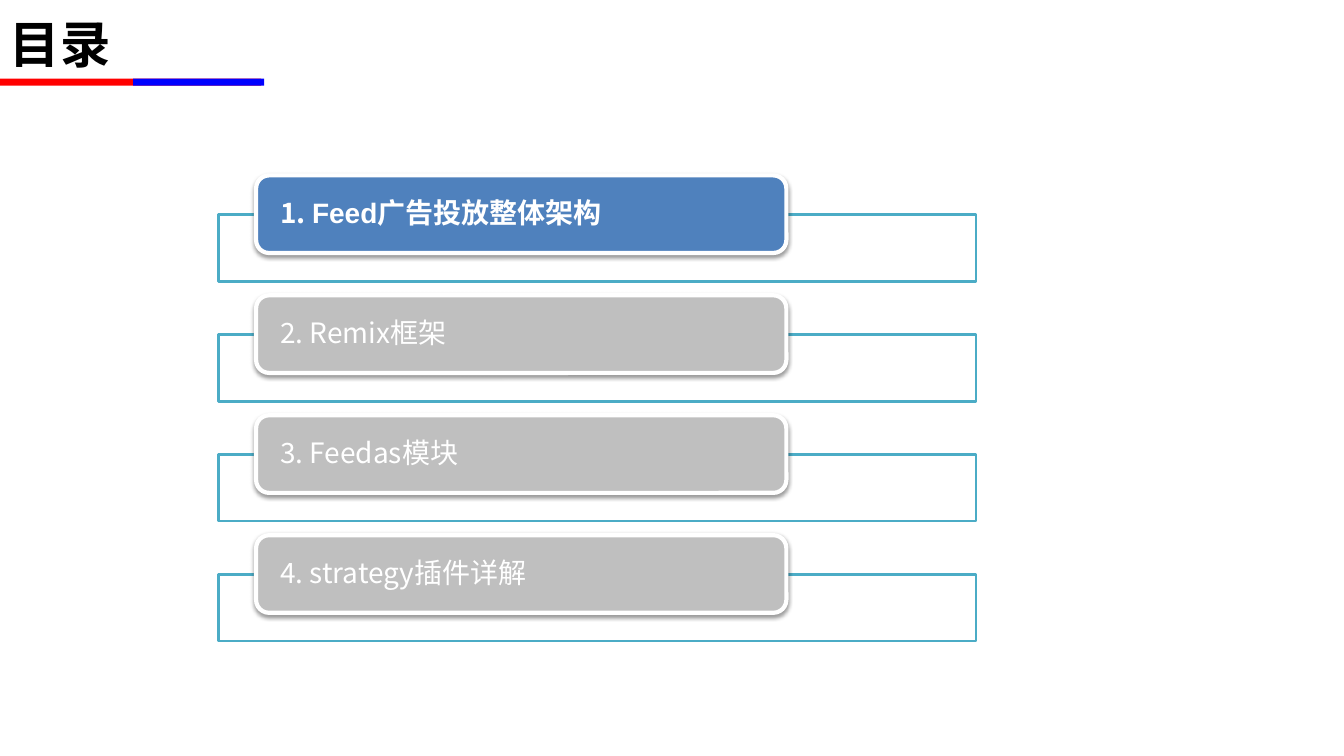
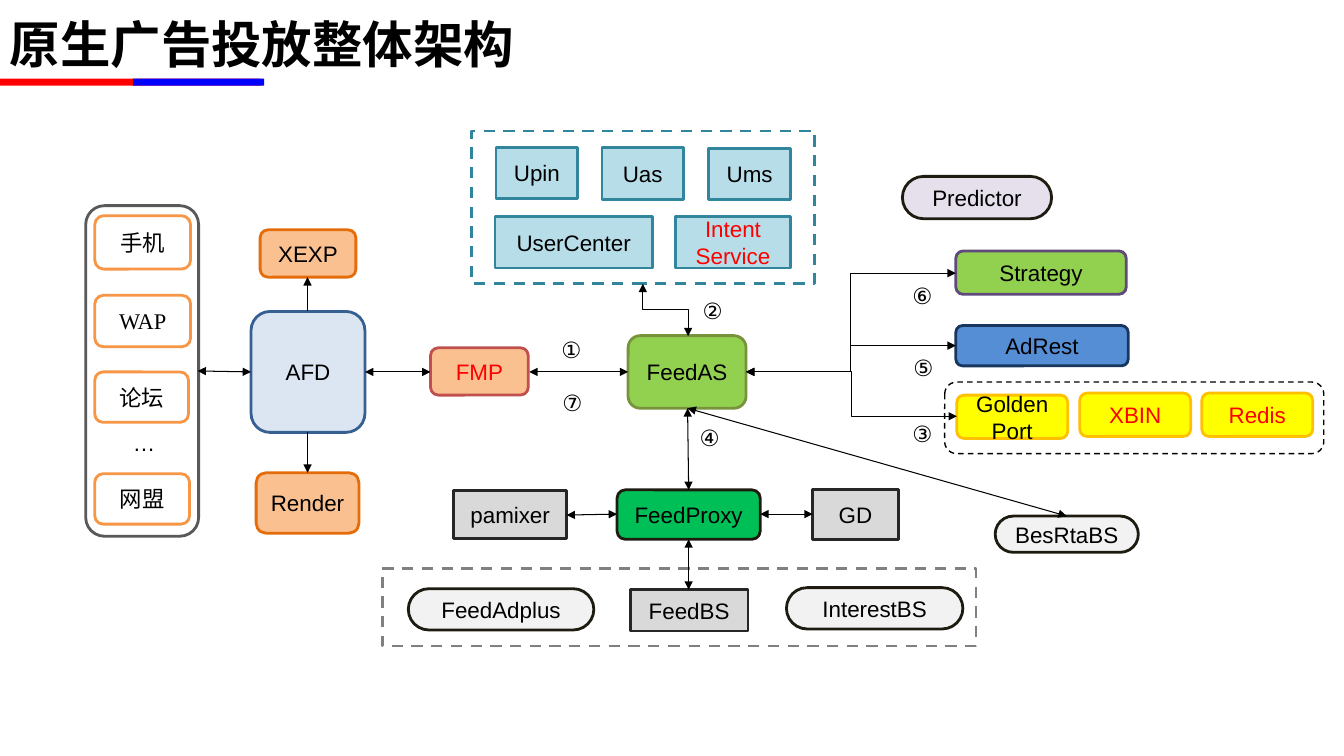
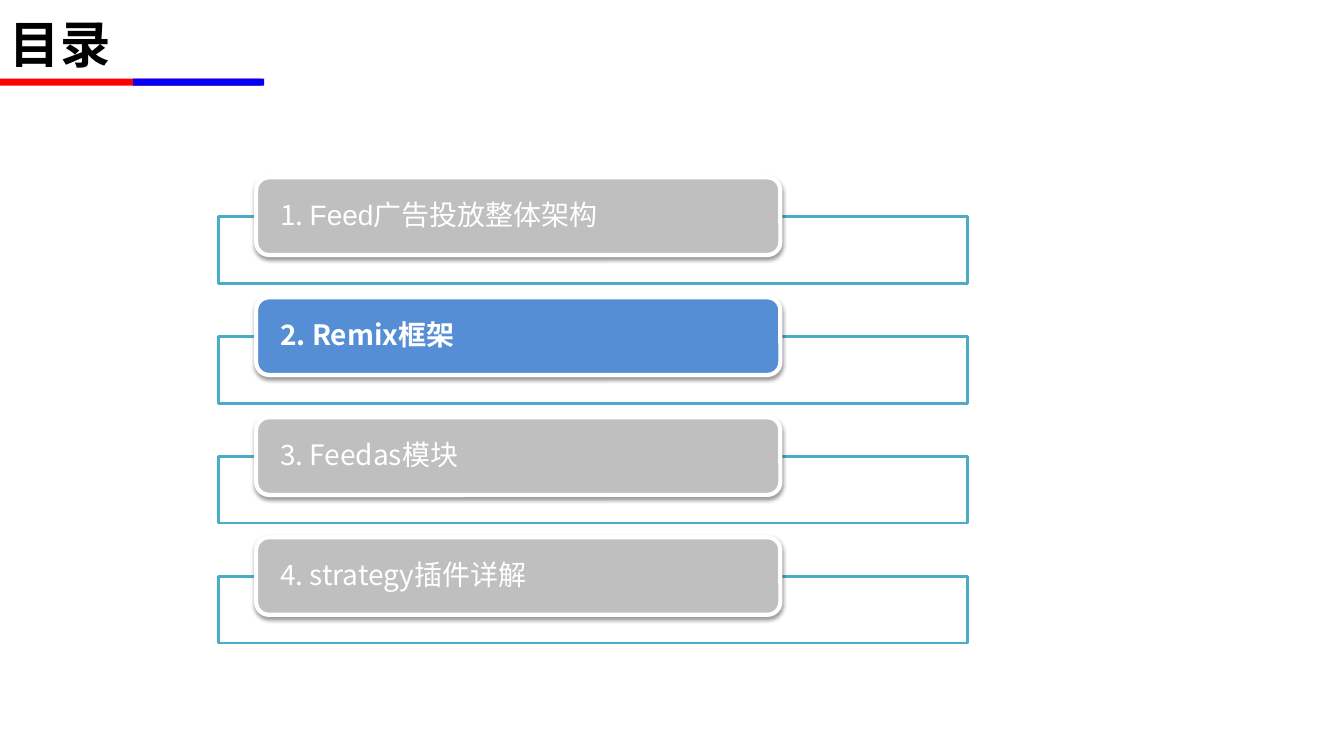
"""Build a three-slide deck on the architecture of feed ad delivery."""
import lxml.etree
import pptx
import pptx.dml.color
import pptx.enum.dml
import pptx.enum.shapes
import pptx.enum.text
import pptx.oxml
import pptx.oxml.ns
import pptx.util

PX = 9144
KIND = pptx.enum.shapes.MSO_SHAPE
WIRE = pptx.enum.shapes.MSO_CONNECTOR
ALIGN = pptx.enum.text.PP_ALIGN
MID = pptx.enum.text.MSO_ANCHOR.MIDDLE
DASH = pptx.enum.dml.MSO_LINE.DASH
qn = pptx.oxml.ns.qn


class Theme:
    black, white, red, blue = "000000", "FFFFFF", "FF0000", "0000FF"
    teal, mute = "4BACC6", "BFBFBF"
    cjk, serif = "Noto Sans CJK SC", "Times New Roman"
    title = {"size": 36, "name": "Noto Sans Mono", "bold": True, "color": black}
    item = {"size": 20, "name": cjk, "bold": False, "color": white}
    label = {"size": 16, "name": "Arial", "color": black}
    rect = {"kind": KIND.RECTANGLE}
    soft = {"kind": KIND.ROUNDED_RECTANGLE}
    pill = {**soft, "adj": 0.5}
    box = {
        "phone": {**soft, "fill": white, "line": "F79646"},
        "frame": {**soft, "line": "595959"},
        "core": {**soft, "fill": "DCE6F2", "line": "376092"},
        "side": {**soft, "fill": "FAC090", "line": "E46C0A"},
        "gate": {**soft, "fill": "FAC090", "line": "C0504D"},
        "feed": {**soft, "fill": "92D050", "line": "77933C"},
        "plan": {**soft, "fill": "92D050", "line": "604A7B"},
        "rest": {**soft, "fill": "558ED5", "line": "17375E"},
        "store": {**soft, "fill": "FFFF00", "line": "FFC000"},
        "proxy": {**soft, "fill": "00BF57", "line": "1E1C11"},
        "user": {**rect, "fill": "B7DEE8", "line": "31859C"},
        "grey": {**rect, "fill": "D9D9D9", "line": "262626"},
        "model": {**pill, "fill": "E6E0EC", "line": "1E1C11"},
        "index": {**pill, "fill": "F2F2F2", "line": "1E1C11"},
        "users": {**rect, "line": "31859C", "dash": DASH},
        "bases": {**rect, "line": "808080", "dash": DASH},
        "stores": {**soft, "line": black, "wide": 1, "dash": DASH},
    }


def write(frame, text, look, align=ALIGN.LEFT):
    for num, part in enumerate(text.split("\n")):
        para = frame.add_paragraph() if num else frame.paragraphs[0]
        para.alignment = align
        run = para.add_run()
        run.text = part
        for key, val in look.items():
            if key == "color":
                run.font.color.rgb = pptx.dml.color.RGBColor.from_string(val)
            else:
                setattr(run.font, key, pptx.util.Pt(val) if key == "size" else val)
        far = lxml.etree.SubElement(run._r.get_or_add_rPr(), qn("a:ea"))
        far.set("typeface", Theme.cjk)


def draw(slide, at, kind, fill=None, line=None, wide=2, dash=None, adj=None):
    shape = slide.shapes.add_shape(kind, *[n * PX for n in at])
    shape.shadow.inherit = False
    for ink, tint in ((shape.fill, fill), (shape.line.fill, line)):
        if tint:
            ink.solid()
            ink.fore_color.rgb = pptx.dml.color.RGBColor.from_string(tint)
        else:
            ink.background()
    if line:
        shape.line.width = pptx.util.Pt(wide)
        shape.line.dash_style = dash
    if adj:
        shape.adjustments[0] = adj
    return shape


deck = pptx.Presentation()
deck.slide_width, deck.slide_height = 1333 * PX, 750 * PX

pages = []
for name in ("目录", "原生广告投放整体架构", "目录"):
    page = deck.slides.add_slide(deck.slide_layouts[6])
    draw(page, (0, 78, 259, 7), KIND.RECTANGLE, Theme.red)
    draw(page, (132, 78, 130, 7), KIND.RECTANGLE, Theme.blue)
    head = page.shapes.add_textbox(0, 0, 1200 * PX, 85 * PX).text_frame
    head.word_wrap, head.vertical_anchor = True, MID
    write(head, name, Theme.title)
    pages.append(page)

items = (
    (("1. ", Theme.cjk), ("Feed广告投放整体架构", "Arial")),
    (("2. Remix框架", Theme.cjk),),
    (("3. Feedas模块", Theme.cjk),),
    (("4. strategy插件详解", Theme.cjk),),
)
shade = (
    f'<a:outerShdw {pptx.oxml.ns.nsdecls("a")} blurRad="39400" dist="20300" '
    'dir="5400000" rotWithShape="0"><a:srgbClr val="000000">'
    '<a:alpha val="38000"/></a:srgbClr></a:outerShdw>'
)
for page, live, hue, top, span, wide in (
    (pages[0], 0, "4F81BD", 174, 751, 526),
    (pages[2], 1, "558ED5", 176, 743, 520),
):
    for row, runs in enumerate(items):
        y = top + 119 * row
        draw(page, (217, y + 39, span, 66), KIND.RECTANGLE, Theme.white, Theme.teal)
        tab = draw(page, (254, y, wide, 77), KIND.ROUNDED_RECTANGLE,
                   hue if row == live else Theme.mute, Theme.white, 3)
        glow = tab._element.spPr.find(qn("a:effectLst"))
        glow.append(pptx.oxml.parse_xml(shade))
        frame = tab.text_frame
        edges = {"left": 20, "right": 20, "top": 0, "bottom": 0}
        for side, gap in edges.items():
            setattr(frame, "margin_" + side, gap * PX)
        for text, face in runs:
            write(frame, text, {**Theme.item, "name": face, "bold": row == live})
        frame.paragraphs[0].line_spacing = 0.9

page = pages[1]
nodes = (
    ("frame", 85, 204, 112, 328, ""),
    ("phone", 94, 214, 95, 53, "手机"),
    ("phone", 94, 293, 95, 51, "WAP"),
    ("phone", 94, 369, 93, 50, "论坛"),
    ("phone", 94, 470, 94, 50, "网盟"),
    ("core", 249, 309, 113, 120, "AFD"),
    ("side", 258, 228, 95, 47, "XEXP"),
    ("side", 254, 469, 102, 60, "Render"),
    ("gate", 427, 345, 97, 47, "FMP"),
    ("feed", 623, 333, 117, 72, "FeedAS"),
    ("users", 468, 130, 340, 151, ""),
    ("user", 492, 146, 81, 51, "Upin"),
    ("user", 597, 146, 81, 52, "Uas"),
    ("user", 703, 147, 81, 51, "Ums"),
    ("user", 491, 215, 156, 51, "UserCenter"),
    ("user", 670, 215, 114, 51, "Intent\nService"),
    ("model", 895, 175, 148, 42, "Predictor"),
    ("plan", 948, 249, 169, 43, "Strategy"),
    ("rest", 948, 323, 171, 40, "AdRest"),
    ("stores", 937, 379, 376, 71, ""),
    ("store", 949, 392, 110, 43, "Golden\nPort"),
    ("store", 1071, 390, 110, 43, "XBIN"),
    ("store", 1192, 390, 110, 43, "Redis"),
    ("bases", 379, 564, 589, 77, ""),
    ("grey", 450, 487, 112, 47, "pamixer"),
    ("grey", 625, 585, 117, 41, "FeedBS"),
    ("grey", 806, 486, 85, 49, "GD"),
    ("proxy", 612, 486, 142, 49, "FeedProxy"),
    ("index", 405, 584, 184, 41, "FeedAdplus"),
    ("index", 780, 583, 175, 41, "InterestBS"),
    ("index", 987, 512, 142, 36, "BesRtaBS"),
)
hot = {"FMP", "Intent\nService", "XBIN", "Redis"}
faces = {"WAP": Theme.serif, "论坛": Theme.serif, "网盟": Theme.serif}
for style, *at, text in nodes:
    shape = draw(page, at, **Theme.box[style])
    if text:
        look = {**Theme.label, "name": faces.get(text, "Arial"),
                "color": Theme.red if text in hot else Theme.black}
        write(shape.text_frame, text, look, ALIGN.CENTER)

both, last = ("headEnd", "tailEnd"), ("tailEnd",)
links = (
    (WIRE.STRAIGHT, last, 0, 305, 309, 305, 275),
    (WIRE.STRAIGHT, last, 0, 305, 429, 305, 469),
    (WIRE.STRAIGHT, both, 0, 196, 368, 249, 369),
    (WIRE.STRAIGHT, both, 0, 362, 369, 427, 369),
    (WIRE.STRAIGHT, both, 0, 525, 369, 623, 369),
    (WIRE.ELBOW, both, 270, 634, 330, 686, 285),
    (WIRE.ELBOW, both, 0, 740, 369, 948, 343),
    (WIRE.ELBOW, both, 0, 740, 369, 948, 271),
    (WIRE.ELBOW, both, 0, 740, 369, 949, 413),
    (WIRE.STRAIGHT, both, 0, 682, 405, 683, 486),
    (WIRE.STRAIGHT, both, 0, 612, 510, 562, 511),
    (WIRE.STRAIGHT, both, 0, 754, 510, 806, 510),
    (WIRE.STRAIGHT, both, 0, 683, 535, 683, 585),
    (WIRE.STRAIGHT, both, 0, 682, 405, 1058, 512),
)
for kind, ends, turn, *at in links:
    link = page.shapes.add_connector(kind, *[n * PX for n in at])
    link.line.width = pptx.util.Pt(0.75)
    link.line.color.rgb = pptx.dml.color.RGBColor.from_string(Theme.black)
    for end in ends:
        lxml.etree.SubElement(link.line._get_or_add_ln(), qn("a:" + end)).set("type", "triangle")
    prop = link._element.spPr
    lxml.etree.SubElement(prop, qn("a:effectLst"))
    if turn:
        prop.find(qn("a:xfrm")).set("rot", str(turn * 60000))

marks = (
    ("①", 547, 329), ("②", 687, 290), ("③", 895, 412), ("④", 684, 416),
    ("⑤", 896, 346), ("⑥", 895, 275), ("⑦", 548, 381), ("…", 122, 421),
)
for text, x, y in marks:
    note = page.shapes.add_textbox(x * PX, y * PX, 54 * PX, 40 * PX)
    note.text_frame.word_wrap = True
    write(note.text_frame, text, Theme.label)

deck.save("out.pptx")
